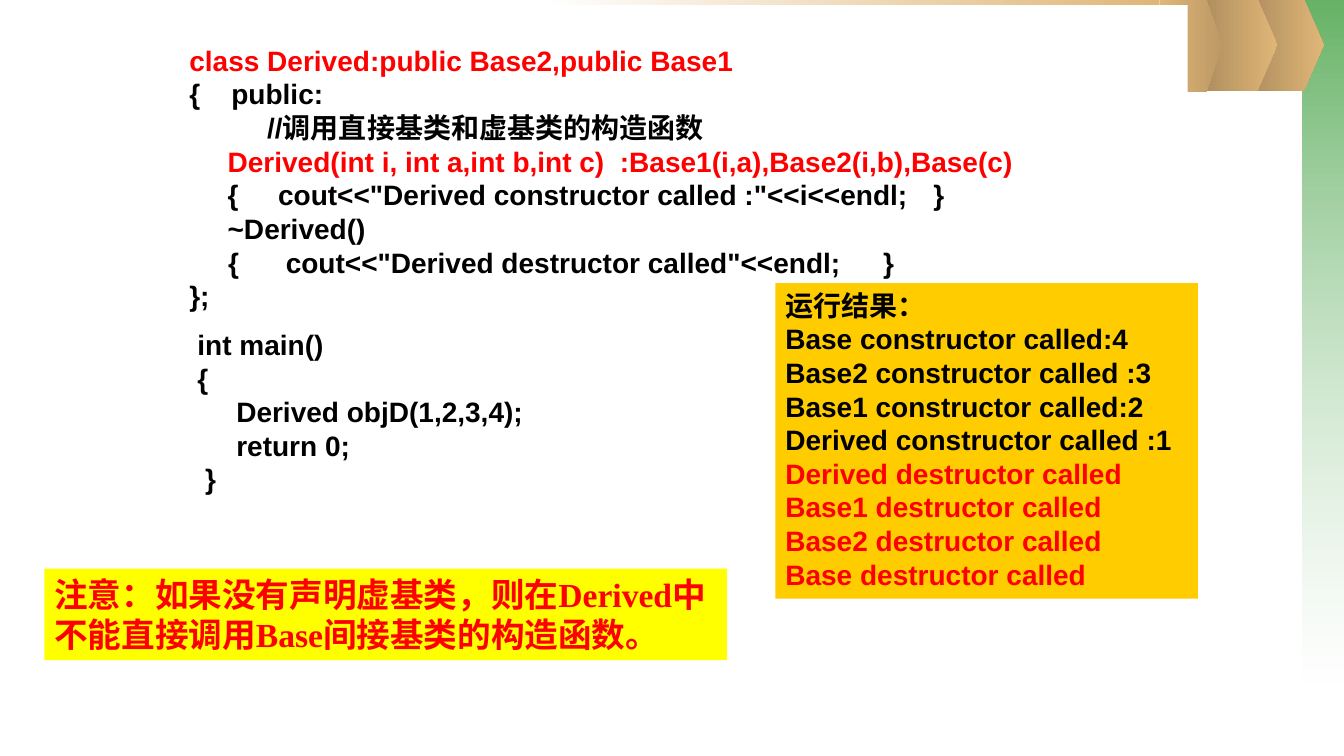
"""Build the slide on constructor and destructor order with a virtual base class."""
import pptx
import pptx.util
import pptx.dml.color
import pptx.enum.shapes
import pptx.enum.text
import pptx.oxml
import pptx.oxml.ns
from lxml import etree

Inches, Pt = pptx.util.Inches, pptx.util.Pt
RGB = pptx.dml.color.RGBColor
SHAPE = pptx.enum.shapes.MSO_SHAPE
FIT = pptx.enum.text.MSO_AUTO_SIZE
qn = pptx.oxml.ns.qn

BLACK, WHITE, RED = RGB(0, 0, 0), RGB(255, 255, 255), RGB(255, 0, 0)
ORANGE, YELLOW, GREEN = RGB(0xFF, 0xCC, 0), RGB(255, 255, 0), RGB(0x33, 0x99, 0x33)
BROWN, TAN, DARK_TAN = RGB(0xAB, 0x8B, 0x5C), RGB(0xE0, 0xB6, 0x78), RGB(0xBD, 0x99, 0x65)
SANS, SERIF = "Arial", "Times New Roman"

DECOR = [
    (SHAPE.RECTANGLE, (12.92, 0, 0.41, 6.77), [(GREEN, 75), (WHITE, 37)], 270),
    (SHAPE.PENTAGON, (12.34, -0.01, 0.79, 0.91), [(BROWN, 100), (TAN, 100)], 0),
    (SHAPE.PENTAGON, (11.88, -0.01, 0.79, 0.91), [(BROWN, 100), (TAN, 100)], 0),
    (SHAPE.RECTANGLE, (5.36, 0, 6.14, 0.91), [(WHITE, 100), (TAN, 100)], 0),
    (SHAPE.PENTAGON, (11.5, 0, 0.62, 0.91), [(TAN, 100), (DARK_TAN, 100)], 0),
]

CLASS_CODE = [
    ("class Derived:public Base2,public Base1", RED, SANS),
    ("{    public:", BLACK, SANS),
    ("          //调用直接基类和虚基类的构造函数", BLACK, SANS),
    ("\tDerived(int i, int a,int b,int c)  :Base1(i,a),Base2(i,b),Base(c)", RED, SANS),
    ("\t{\tcout<<\"Derived constructor called :\"<<i<<endl;\t}", BLACK, SANS),
    ("\t~Derived()", BLACK, SANS),
    ("     {      cout<<\"Derived destructor called\"<<endl;\t}", BLACK, SANS),
    ("};", BLACK, SANS),
]
MAIN_CODE = [(line, BLACK, SANS) for line in (
    "int main()", "{", "     Derived objD(1,2,3,4);", "     return 0;", " }")]
RESULTS = [("运行结果：", BLACK, SERIF)] + [(line, BLACK, SANS) for line in (
    "Base constructor called:4", "Base2 constructor called :3",
    "Base1 constructor called:2", "Derived constructor called :1",
)] + [(f"{name} destructor called", RED, SANS)
      for name in ("Derived", "Base1", "Base2", "Base")]
NOTE = [("注意：如果没有声明虚基类，则在Derived中不能直接调用Base间接基类的构造函数。", RED, SERIF)]

PANELS = [
    ((1.78, 0.05, 10, 3.91), WHITE, CLASS_CODE, 20, 0.38, 0.38, FIT.NONE),
    ((1.86, 3.2, 4.06, 1.88), WHITE, MAIN_CODE, 20, 0.38, 0.05, FIT.NONE),
    ((7.69, 2.81, 4.19, 3.13), ORANGE, RESULTS, 20, 0, 0.05, FIT.SHAPE_TO_FIT_TEXT),
    ((0.44, 5.64, 6.77, 0.91), YELLOW, NOTE, 24, 0, 0.05, FIT.SHAPE_TO_FIT_TEXT),
]


def apply(obj, values):
    for name, value in values.items():
        setattr(obj, name, value)


def add_block(s, kind, box):
    sp = s.shapes.add_shape(kind, *map(Inches, box))
    sp.shadow.inherit = False
    sp.line.fill.background()
    return sp


def add_decor(s, kind, box, stops, angle):
    sp = add_block(s, kind, box)
    if kind == SHAPE.PENTAGON:
        sp.adjustments[0] = 0.25
    sp.fill.gradient()
    sp.fill.gradient_angle = angle
    for stop, (color, _) in zip(sp.fill.gradient_stops, stops):
        stop.color.rgb = color
    for clr, (_, alpha) in zip(sp._element.spPr.iter(qn("a:srgbClr")), stops):
        if alpha < 100:
            etree.SubElement(clr, qn("a:alpha"), val=str(alpha * 1000))


def add_panel(s, box, fill, lines, size, hang, top, fit):
    sp = add_block(s, SHAPE.RECTANGLE, box)
    sp.fill.solid()
    sp.fill.fore_color.rgb = fill
    tf = sp.text_frame
    apply(tf, {"word_wrap": True, "auto_size": fit, "margin_top": Inches(top),
               "vertical_anchor": pptx.enum.text.MSO_ANCHOR.TOP})
    for i, (text, color, font) in enumerate(lines):
        p = tf.paragraphs[0] if i == 0 else tf.add_paragraph()
        p.alignment = pptx.enum.text.PP_ALIGN.LEFT
        if hang:
            pPr = p._p.get_or_add_pPr()
            pPr.set("marL", str(Inches(hang)))
            pPr.set("indent", str(-Inches(hang)))
        r = p.add_run()
        r.text = text
        apply(r.font, {"name": font, "size": Pt(size), "bold": True})
        r.font.color.rgb = color


def main():
    prs = pptx.Presentation()
    apply(prs, {"slide_width": Inches(13.33), "slide_height": Inches(7.5)})
    s = prs.slides.add_slide(prs.slide_layouts[6])
    for decor in DECOR:
        add_decor(s, *decor)
    for panel in PANELS:
        add_panel(s, *panel)
    prs.save("out.pptx")


if __name__ == "__main__":
    main()
